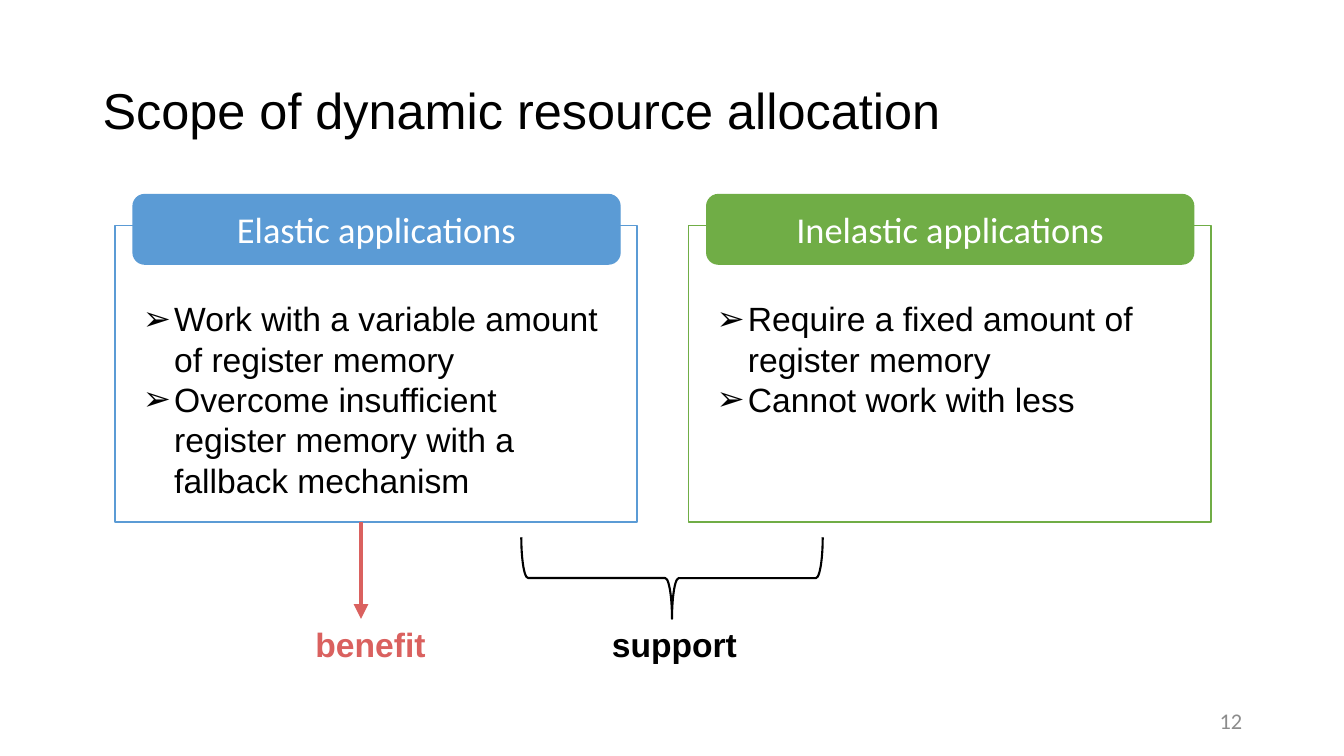
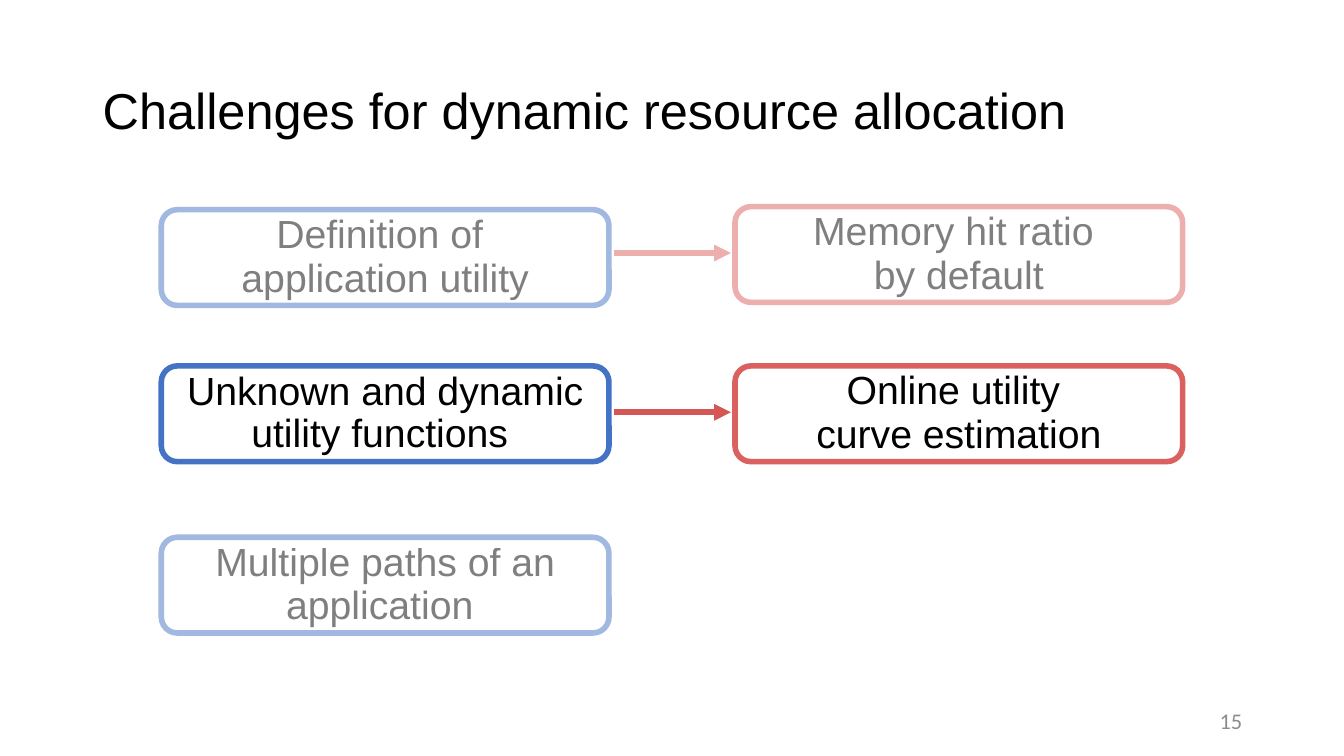
from dataclasses import dataclass

from lxml import etree
from pptx import Presentation
from pptx.dml.color import RGBColor
from pptx.enum import shapes, text
from pptx.oxml.ns import qn
from pptx.util import Inches, Pt


@dataclass(frozen=True)
class Theme:
    black: str = "000000"
    white: str = "FFFFFF"
    gray: str = "8C8C8C"
    elastic: str = "5B9BD5"
    inelastic: str = "70AD46"
    challenge: str = "4472C4"
    answer: str = "DA615F"
    answer_arrow: str = "D45655"
    body_font: str = "Arial"
    label_font: str = "Calibri"
    title_size: int = 36
    step_size: int = 28
    header_size: int = 26
    body_size: int = 24
    number_size: int = 16
    thin: float = 1
    brace: float = 1.5
    benefit: float = 3.5
    thick: float = 4


THEME = Theme()


def fade(element):
    for color in element.iter(qn("a:srgbClr")):
        etree.SubElement(color, qn("a:alpha"), val="50000")


def style_line(shape, color, width, faded=False):
    shape.line.color.rgb = RGBColor.from_string(color)
    shape.line.width = Pt(width)
    if faded:
        fade(shape._element.spPr.find(qn("a:ln")))


def add_bullet(paragraph):
    properties = paragraph._p.get_or_add_pPr()
    properties.set("marL", str(Inches(0.31)))
    properties.set("indent", str(-Inches(0.31)))
    etree.SubElement(properties, qn("a:buFont"), typeface="Wingdings 3")
    properties[-1].set("typeface", THEME.body_font)
    etree.SubElement(properties, qn("a:buChar"), char="➢")


def write(shape, lines, size, color=THEME.black, font=THEME.body_font, bold=False,
          align=text.PP_ALIGN.LEFT, anchor=text.MSO_ANCHOR.TOP, bullets=False,
          spacing=None, gap=None, faded=False):
    frame = shape.text_frame
    frame.word_wrap = True
    frame.vertical_anchor = anchor
    for index, line in enumerate(lines):
        paragraph = frame.add_paragraph() if index else frame.paragraphs[0]
        paragraph.text = line
        if bullets:
            add_bullet(paragraph)
        paragraph.alignment = align
        if spacing:
            paragraph.line_spacing = spacing
        if index and gap:
            paragraph.space_before = Pt(gap)
        paragraph.font.size = Pt(size)
        paragraph.font.name = font
        paragraph.font.bold = bold
        paragraph.font.color.rgb = RGBColor.from_string(color)
    if faded:
        fade(frame._txBody)


def add_text(slide, left, top, width, height, lines, size, **style):
    box = slide.shapes.add_textbox(Inches(left), Inches(top), Inches(width), Inches(height))
    write(box, lines, size, **style)


def add_box(slide, kind, left, top, width, height, line, line_width, fill=None, faded=False):
    box = slide.shapes.add_shape(kind, Inches(left), Inches(top), Inches(width), Inches(height))
    box.shadow.inherit = False
    if fill:
        box.fill.solid()
        box.fill.fore_color.rgb = RGBColor.from_string(fill)
    else:
        box.fill.background()
    style_line(box, line, line_width, faded)
    return box


def add_arrow(slide, start, end, color, width, faded=False):
    arrow = slide.shapes.add_connector(
        shapes.MSO_CONNECTOR.STRAIGHT, *(Inches(value) for value in (*start, *end)))
    style_line(arrow, color, width, faded)
    properties = arrow._element.spPr
    etree.SubElement(properties.find(qn("a:ln")), qn("a:tailEnd"), type="triangle")
    etree.SubElement(properties, qn("a:effectLst"))


def add_slide(deck, title, number):
    slide = deck.slides.add_slide(deck.slide_layouts[6])
    add_text(slide, 0.92, 0.4, 11.5, 1.45, [title], THEME.title_size,
             anchor=text.MSO_ANCHOR.MIDDLE, spacing=0.9)
    add_text(slide, 9.42, 6.95, 3, 0.4, [number], THEME.number_size, color=THEME.gray,
             font=THEME.label_font, align=text.PP_ALIGN.RIGHT, anchor=text.MSO_ANCHOR.MIDDLE)
    return slide


def add_panel(slide, left, top, color, heading, points):
    add_box(slide, shapes.MSO_SHAPE.RECTANGLE, left, top, 5.18, 2.94, color, THEME.thin)
    header = add_box(slide, shapes.MSO_SHAPE.ROUNDED_RECTANGLE, left + 0.18, top - 0.31,
                     4.83, 0.69, color, THEME.thin, fill=color)
    write(header, [heading], THEME.header_size, color=THEME.white, font=THEME.label_font,
          align=text.PP_ALIGN.CENTER, anchor=text.MSO_ANCHOR.MIDDLE)
    add_text(slide, left + 0.18, top + 0.67, 4.83, 2.12, points, THEME.body_size, bullets=True)


def add_outcomes(slide, top):
    bottom = top + 0.96
    brace = add_box(slide, shapes.MSO_SHAPE.RIGHT_BRACE, 6.26, top - 0.94, 0.81, 2.99,
                    THEME.black, THEME.brace)
    brace.rotation = 90
    add_text(slide, 5.97, bottom, 1.82, 0.5, ["support"], THEME.body_size, bold=True)
    add_arrow(slide, (3.58, top), (3.58, bottom), THEME.answer, THEME.benefit)
    add_text(slide, 3.03, bottom, 1.42, 0.5, ["benefit"], THEME.body_size,
             color=THEME.answer, bold=True)


def add_step(slide, left, top, color, lines, faded):
    step = add_box(slide, shapes.MSO_SHAPE.ROUNDED_RECTANGLE, left, top, 4.44, 0.95,
                   color, THEME.thick, fill=THEME.white, faded=faded)
    write(step, lines, THEME.step_size, align=text.PP_ALIGN.CENTER,
          anchor=text.MSO_ANCHOR.MIDDLE, spacing=0.9, gap=1, faded=faded)


def build_scope(deck):
    slide = add_slide(deck, "Scope of dynamic resource allocation", "12")
    panels = [
        (1.14, THEME.elastic, "Elastic applications",
         ["Work with a variable amount of register memory",
          "Overcome insufficient register memory with a fallback mechanism"]),
        (6.83, THEME.inelastic, "Inelastic applications",
         ["Require a fixed amount of register memory", "Cannot work with less"]),
    ]
    for left, color, heading, points in panels:
        add_panel(slide, left, 2.24, color, heading, points)
    add_outcomes(slide, 5.18)


def build_challenges(deck):
    slide = add_slide(deck, "Challenges for dynamic resource allocation", "15")
    challenges = [
        (2.08, ["Definition of ", "application utility"], True),
        (3.63, ["Unknown and dynamic utility functions "], False),
        (5.33, ["Multiple paths of an application "], True),
    ]
    answers = [
        (2.05, ["Memory hit ratio ", "by default"], 2.51, THEME.answer, True),
        (3.63, ["Online utility ", "curve estimation"], 4.09, THEME.answer_arrow, False),
    ]
    for top, lines, faded in challenges:
        add_step(slide, 1.6, top, THEME.challenge, lines, faded)
    for top, lines, arrow_y, arrow_color, faded in answers:
        add_step(slide, 7.29, top, THEME.answer, lines, faded)
        add_arrow(slide, (6.09, arrow_y), (7.25, arrow_y), arrow_color, THEME.thick, faded)


def main():
    deck = Presentation()
    deck.slide_width = Inches(13.33)
    deck.slide_height = Inches(7.5)
    build_scope(deck)
    build_challenges(deck)
    deck.save("out.pptx")


if __name__ == "__main__":
    main()
